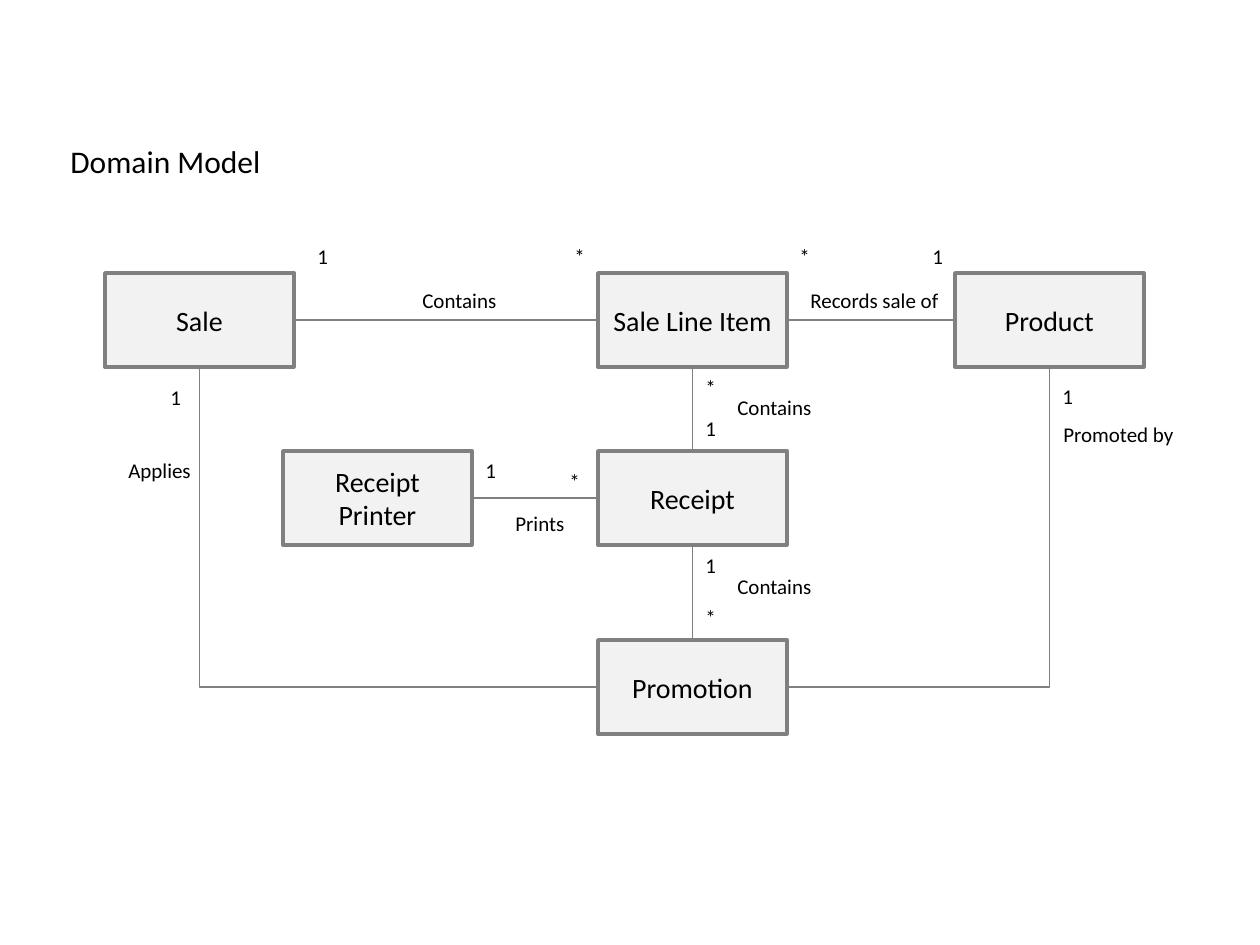
from dataclasses import dataclass

from lxml.etree import SubElement
from pptx import Presentation
from pptx.dml.color import RGBColor
from pptx.enum.shapes import MSO_CONNECTOR, MSO_SHAPE
from pptx.enum.text import MSO_ANCHOR, MSO_AUTO_SIZE, PP_ALIGN
from pptx.oxml.ns import qn
from pptx.util import Pt

PX = 914400 // 126


@dataclass(frozen=True)
class Theme:
    """Colours, font and sizes of the diagram."""
    font: str = "Calibri"
    ink: RGBColor = RGBColor(0, 0, 0)
    fill: RGBColor = RGBColor(0xF2, 0xF2, 0xF2)
    line: RGBColor = RGBColor(0x80, 0x80, 0x80)
    title: int = 18
    entity: int = 16
    label: int = 12


theme = Theme()


def add_run(paragraph, text, size):
    """Add one styled run to a paragraph."""
    run = paragraph.add_run()
    run.text = text
    run.font.name = theme.font
    run.font.size = Pt(size)
    run.font.color.rgb = theme.ink


def connect(start, start_site, end, end_site):
    """Join two entities with a thin straight line."""
    line = slide.shapes.add_connector(MSO_CONNECTOR.STRAIGHT, 0, 0, 0, 0)
    line.begin_connect(start, start_site)
    line.end_connect(end, end_site)
    line.line.color.rgb = theme.line
    line.line.width = Pt(0.75)
    SubElement(line._element.spPr, qn("a:effectLst"))
    return line


prs = Presentation()
prs.slide_width = 1260 * PX
prs.slide_height = 945 * PX
slide = prs.slides.add_slide(prs.slide_layouts[6])

# Entities
ENTITY_W, ENTITY_H = 189, 94
entity_places = {
    "Sale": (105, 273),
    "Sale Line Item": (598, 273),
    "Product": (955, 273),
    "Promotion": (598, 640),
    "Receipt": (598, 451),
    "Receipt\nPrinter": (283, 451),
}
entities = {}
for name, (x, y) in entity_places.items():
    entity = slide.shapes.add_shape(
        MSO_SHAPE.RECTANGLE, x * PX, y * PX, ENTITY_W * PX, ENTITY_H * PX)
    entity.shadow.inherit = False
    entity.fill.solid()
    entity.fill.fore_color.rgb = theme.fill
    entity.line.color.rgb = theme.line
    entity.line.width = Pt(2)
    frame = entity.text_frame
    frame.word_wrap = True
    frame.vertical_anchor = MSO_ANCHOR.MIDDLE
    for i, words in enumerate(name.split("\n")):
        paragraph = frame.add_paragraph() if i else frame.paragraphs[0]
        paragraph.alignment = PP_ALIGN.CENTER
        add_run(paragraph, words, theme.entity)
    entities[name] = entity

# Straight associations
TOP, LEFT, BOTTOM, RIGHT = range(4)
for start, start_site, end, end_site in [
    ("Sale", RIGHT, "Sale Line Item", LEFT),
    ("Sale Line Item", RIGHT, "Product", LEFT),
    ("Receipt\nPrinter", RIGHT, "Receipt", LEFT),
    ("Sale Line Item", BOTTOM, "Receipt", TOP),
    ("Receipt", BOTTOM, "Promotion", TOP),
]:
    connect(entities[start], start_site, entities[end], end_site)

# Single-bend associations: the preset runs across then down, so it is turned
for start, end_site, turn, mirrored in [
    ("Product", RIGHT, 90, False),
    ("Sale", LEFT, 270, True),
]:
    bend = connect(entities[start], BOTTOM, entities["Promotion"], end_site)
    across = abs(bend.end_x - bend.begin_x)
    down = abs(bend.end_y - bend.begin_y)
    middle_x = (bend.begin_x + bend.end_x) // 2
    middle_y = (bend.begin_y + bend.end_y) // 2
    bend.left, bend.top = middle_x - down // 2, middle_y - across // 2
    bend.width, bend.height = down, across
    properties = bend._element.spPr
    properties.find(qn("a:prstGeom")).set("prst", "bentConnector2")
    transform = properties.find(qn("a:xfrm"))
    transform.set("rot", str(turn * 60000))
    transform.set("flipH", str(int(mirrored)))
    transform.set("flipV", "0")

# Multiplicities, association names and the title
multiplicities = [
    ("1", 305, 237), ("*", 562, 237), ("*", 787, 237), ("1", 920, 237),
    ("1", 693, 409), ("1", 473, 451), ("*", 557, 462), ("1", 158, 378),
    ("*", 693, 598), ("*", 693, 368), ("1", 1050, 377), ("1", 693, 546),
]
association_names = [
    ("Prints", 503, 504, 74), ("Contains", 725, 388, 99),
    ("Contains", 410, 281, 99), ("Records sale of", 798, 281, 155),
    ("Applies", 116, 451, 88), ("Promoted by", 1051, 415, 137),
    ("Contains", 725, 567, 99),
]
captions = [(text, x, y, 37, 38, theme.label) for text, x, y in multiplicities]
captions += [(*place, 38, theme.label) for place in association_names]
captions.append(("Domain Model", 58, 136, 218, 51, theme.title))
for text, x, y, width, height, size in captions:
    caption = slide.shapes.add_textbox(x * PX, y * PX, width * PX, height * PX)
    frame = caption.text_frame
    frame.word_wrap = False
    frame.auto_size = MSO_AUTO_SIZE.SHAPE_TO_FIT_TEXT
    add_run(frame.paragraphs[0], text, size)

prs.save("out.pptx")
